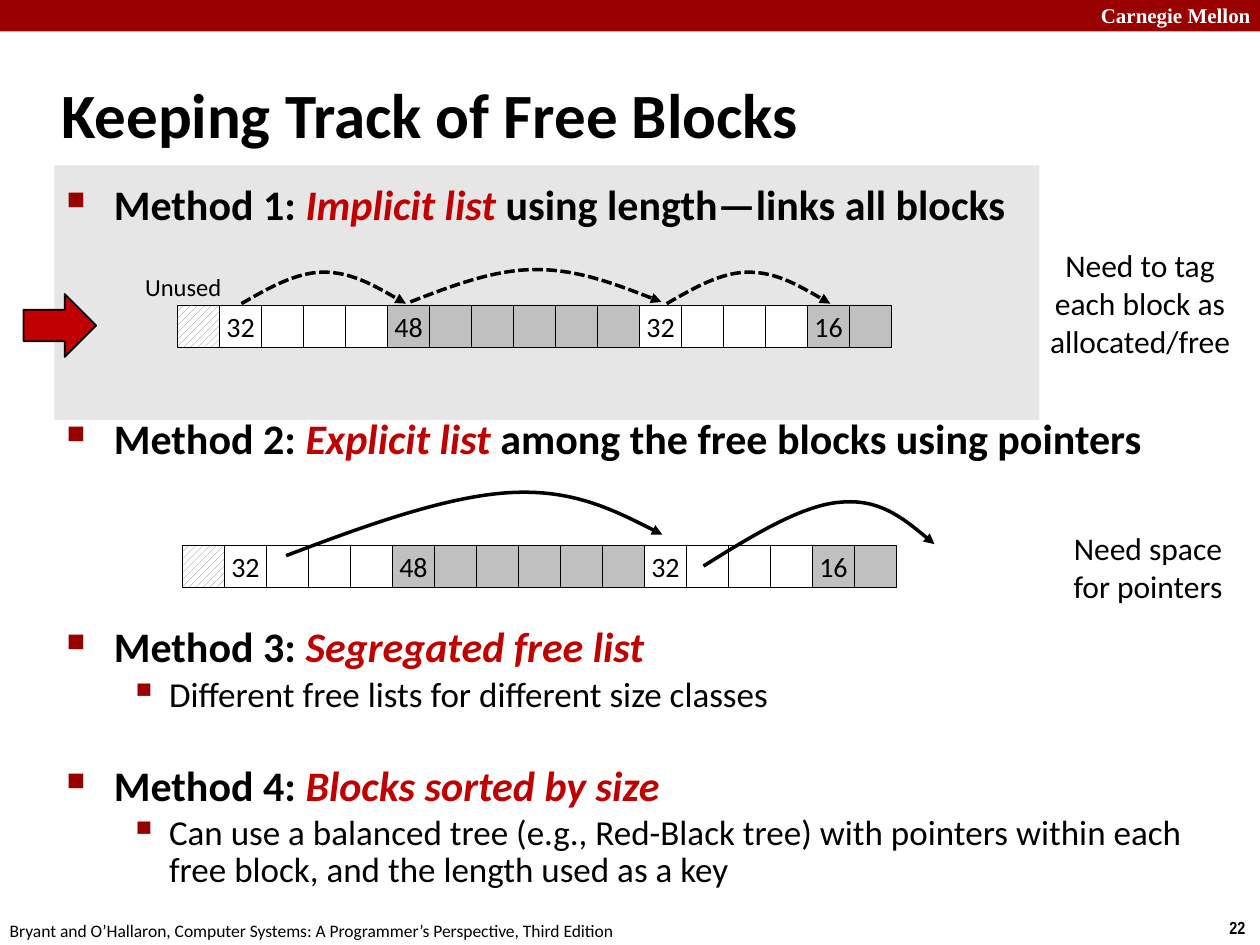
"""Build the slide that lists four ways to keep track of free blocks."""

import dataclasses
import typing

import lxml.etree
import pptx
import pptx.dml.color
import pptx.enum.dml
import pptx.enum.shapes
import pptx.enum.text
import pptx.oxml.ns
import pptx.util

Pt = pptx.util.Pt
Kind = pptx.enum.shapes.MSO_SHAPE
Align = pptx.enum.text.PP_ALIGN
Anchor = pptx.enum.text.MSO_ANCHOR


@dataclasses.dataclass(frozen=True)
class Theme:
    bar: str = "990000"
    red: str = "C00000"
    black: str = "000000"
    white: str = "FFFFFF"
    panel: str = "E6E6E6"
    used: str = "C0C0C0"
    hatch: str = "808080"
    font: str = "Calibri"
    serif: str = "Times New Roman"
    narrow: str = "Arial Narrow"
    title: int = 36
    head: int = 24
    sub: int = 20
    note: int = 18
    cell: int = 16
    label: int = 14
    brand: int = 12
    foot: int = 10


class Box(typing.NamedTuple):
    left: float
    top: float
    width: float
    height: float


class Point(typing.NamedTuple):
    x: float
    y: float


class Level(typing.NamedTuple):
    mark: str
    scale: int
    size: int
    bold: bool
    margin: float
    hang: float


class Item(typing.NamedTuple):
    text: str
    level: Level
    before: float
    pitch: float


class Run(typing.NamedTuple):
    count: int
    text: str
    fill: str


class Curve(typing.NamedTuple):
    points: list[Point]
    dashed: bool


THEME = Theme()
HEAD = Level("■", 60, THEME.head, True, 27, 27)
SUB = Level("▪", 110, THEME.sub, False, 58.5, 22.5)
ITEMS = [
    Item("Method 1: *Implicit list *using length—links all blocks", HEAD, 0, 1),
    Item("Method 2: *Explicit list *among the free blocks using pointers", HEAD, 105, 1),
    Item("Method 3: *Segregated free list", HEAD, 95, 0.83),
    Item("Different free lists for different size classes", SUB, 4, 0.88),
    Item("Method 4: *Blocks sorted by size", HEAD, 30, 0.83),
    Item("Can use a balanced tree (e.g., Red-Black tree) with pointers within each "
         "free block, and the length used as a key", SUB, 4, 0.88),
]
BLOCKS = [
    Run(4, "32", THEME.white),
    Run(6, "48", THEME.used),
    Run(4, "32", THEME.white),
    Run(2, "16", THEME.used),
]
SIDE = 24
ROWS = [Point(101.5, 174.25), Point(104.25, 311.75)]


def tint(code: str) -> pptx.dml.color.RGBColor:
    return pptx.dml.color.RGBColor.from_string(code)


def write(para, text: str, *, size: float, color: str = THEME.black, bold: bool = False,
          font: str = THEME.font, align=Align.LEFT) -> None:
    para.alignment = align
    for order, piece in enumerate(text.split("*")):
        strong = order % 2 == 1
        run = para.add_run()
        run.text = piece
        run.font.name = font
        run.font.size = Pt(size)
        run.font.bold = bold
        run.font.italic = strong
        run.font.color.rgb = tint(THEME.red if strong else color)


def place(slide, box: Box, text: str, *, anchor=Anchor.TOP, **style) -> None:
    frame = slide.shapes.add_textbox(*map(Pt, box)).text_frame
    frame.word_wrap = False
    frame.vertical_anchor = anchor
    for order, line in enumerate(text.split("\n")):
        para = frame.add_paragraph() if order else frame.paragraphs[0]
        write(para, line, **style)


def shape(shapes, kind, box: Box, fill: str, weight: float = 0):
    form = shapes.add_shape(kind, *map(Pt, box))
    form.shadow.inherit = False
    form.fill.solid()
    form.fill.fore_color.rgb = tint(fill)
    if weight:
        form.line.color.rgb = tint(THEME.black)
        form.line.width = Pt(weight)
    else:
        form.line.fill.background()
    return form


def child(parent, tag: str, **attrs: str):
    return lxml.etree.SubElement(parent, pptx.oxml.ns.qn(tag), attrs)


def outline(slide, box: Box, items: list[Item]) -> None:
    frame = slide.shapes.add_textbox(*map(Pt, box)).text_frame
    frame.word_wrap = True
    for order, item in enumerate(items):
        para = frame.add_paragraph() if order else frame.paragraphs[0]
        level = item.level
        props = para._p.get_or_add_pPr()
        props.set("marL", str(Pt(level.margin)))
        props.set("indent", str(-Pt(level.hang)))
        child(child(props, "a:buClr"), "a:srgbClr", val=THEME.bar)
        child(props, "a:buSzPct", val=str(level.scale * 1000))
        child(props, "a:buChar", char=level.mark)
        para.level = 0 if level is HEAD else 1
        para.line_spacing = float(item.pitch)
        para.space_before = Pt(item.before)
        write(para, item.text, size=level.size, bold=level.bold)


def heap(slide, start: Point) -> None:
    shapes = slide.shapes.add_group_shape().shapes
    spare = shape(shapes, Kind.RECTANGLE, Box(*start, SIDE, SIDE), THEME.white, 0.25)
    spare.fill.patterned()
    spare.fill.pattern = pptx.enum.dml.MSO_PATTERN.WIDE_UPWARD_DIAGONAL
    spare.fill.fore_color.rgb = tint(THEME.hatch)
    spare.fill.back_color.rgb = tint(THEME.white)
    cells = [(run.fill, "" if step else run.text) for run in BLOCKS for step in range(run.count)]
    for order, (fill, text) in enumerate(cells, 1):
        box = Box(start.x + order * SIDE, start.y, SIDE, SIDE)
        cell = shape(shapes, Kind.RECTANGLE, box, fill, 0.25)
        if text:
            frame = cell.text_frame
            frame.word_wrap = False
            frame.vertical_anchor = Anchor.MIDDLE
            write(frame.paragraphs[0], text, size=THEME.cell, align=Align.CENTER)


def hop(left: float, right: float, base: float, top: float) -> Curve:
    heights = [base, (base + top) / 2, top, top, top, (base + top) / 2, base]
    step = (right - left) / 6
    return Curve([Point(left + order * step, y) for order, y in enumerate(heights)], True)


def draw(slide, curve: Curve) -> None:
    first, *rest = [(Pt(x), Pt(y)) for x, y in curve.points]
    pen = slide.shapes.build_freeform(*first, scale=1.0)
    pen.add_line_segments(rest, close=False)
    form = pen.convert_to_shape()
    form.shadow.inherit = False
    form.fill.background()
    form.line.color.rgb = tint(THEME.black)
    form.line.width = Pt(2)
    if curve.dashed:
        form.line.dash_style = pptx.enum.dml.MSO_LINE.SQUARE_DOT
    child(form.element.spPr.find(pptx.oxml.ns.qn("a:ln")), "a:tailEnd", type="triangle")
    lines = list(form.element.iter(pptx.oxml.ns.qn("a:lnTo")))
    for start in range(0, len(lines), 3):
        bend, *others = lines[start:start + 3]
        bend.tag = pptx.oxml.ns.qn("a:cubicBezTo")
        for line in others:
            bend.append(line[0])
            line.getparent().remove(line)


def main() -> None:
    deck = pptx.Presentation()
    deck.slide_width, deck.slide_height = Pt(720), Pt(540)
    slide = deck.slides.add_slide(deck.slide_layouts[6])
    shape(slide.shapes, Kind.RECTANGLE, Box(0, 0, 720, 18), THEME.bar)
    place(slide, Box(622, -2, 103, 22), "Carnegie Mellon", size=THEME.brand,
          color=THEME.white, bold=True, font=THEME.serif)
    place(slide, Box(695.5, 520.5, 24.5, 19.5), "22", size=THEME.foot, bold=True, font=THEME.narrow)
    place(slide, Box(-1.5, 522, 366, 19), "Bryant and O’Hallaron, Computer Systems: "
          "A Programmer’s Perspective, Third Edition", size=THEME.foot)
    shape(slide.shapes, Kind.RECTANGLE, Box(31, 94.5, 563, 145.5), THEME.panel)
    place(slide, Box(28, 34.5, 598, 60), "Keeping Track of Free Blocks",
          anchor=Anchor.MIDDLE, size=THEME.title, bold=True)
    outline(slide, Box(31, 98.5, 653, 423), ITEMS)
    place(slide, Box(592, 137, 119, 73), "Need to tag\neach block as\nallocated/free",
          size=THEME.note, align=Align.CENTER)
    place(slide, Box(604, 299, 104, 51), "Need space\nfor pointers",
          size=THEME.note, align=Align.CENTER)
    place(slide, Box(75.5, 151.5, 58.5, 24.5), "Unused", anchor=Anchor.MIDDLE,
          size=THEME.label, align=Align.CENTER)
    for start in ROWS:
        heap(slide, start)
    curves = [
        hop(138, 232, 173.5, 155.5),
        hop(234.5, 378, 172.5, 154),
        hop(381, 474.5, 173.5, 155.5),
        Curve([Point(163.5, 317.5), Point(209.5, 300), Point(255.5, 283.5), Point(291.5, 281.5),
               Point(327, 279.5), Point(353, 292.5), Point(378.5, 305.5)], False),
        Curve([Point(402, 323.5), Point(430, 306), Point(458.5, 288.5), Point(480.5, 287),
               Point(502.5, 285), Point(518.5, 298), Point(534, 311)], False),
    ]
    for curve in curves:
        draw(slide, curve)
    shape(slide.shapes, Kind.RIGHT_ARROW, Box(13.5, 168, 41.5, 36), THEME.red, 1)
    deck.save("out.pptx")


if __name__ == "__main__":
    main()
